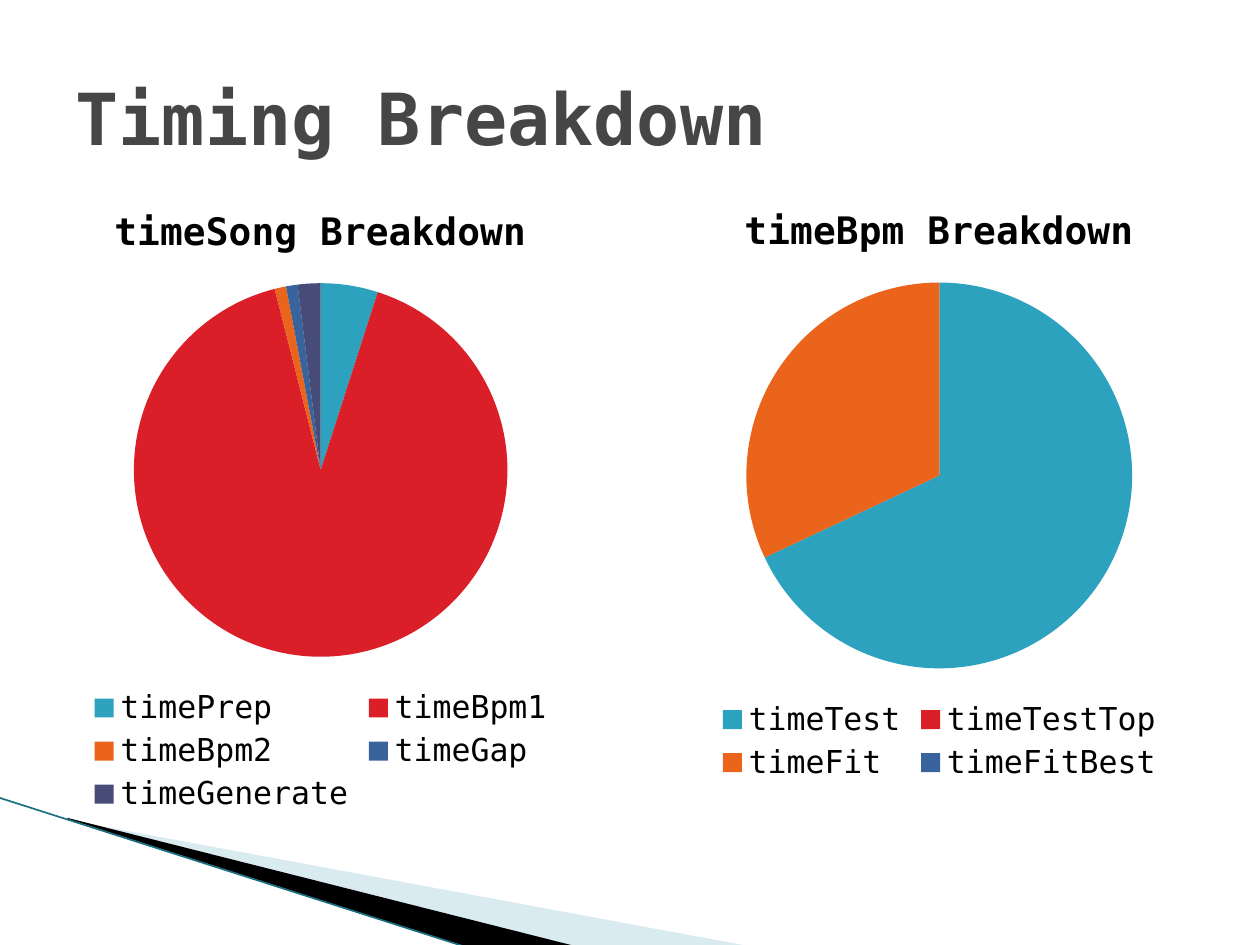
from lxml import etree
from pptx import Presentation
from pptx.chart.data import CategoryChartData
from pptx.dml.color import RGBColor
from pptx.enum.chart import XL_CHART_TYPE, XL_LEGEND_POSITION
from pptx.enum.shapes import MSO_CONNECTOR
from pptx.enum.text import MSO_ANCHOR, PP_ALIGN
from pptx.oxml.ns import qn
from pptx.util import Inches, Pt

PIE = XL_CHART_TYPE.PIE
BOTTOM = XL_LEGEND_POSITION.BOTTOM
STRAIGHT = MSO_CONNECTOR.STRAIGHT
MIDDLE = MSO_ANCHOR.MIDDLE
LEFT = PP_ALIGN.LEFT

FONT = "DejaVu Sans Mono"
BLACK = RGBColor(0x00, 0x00, 0x00)
TITLE_GREY = RGBColor(0x46, 0x46, 0x46)
PALE_BLUE = RGBColor(0xA0, 0xCB, 0xDC)
EDGE_TEAL = RGBColor(0x1B, 0x6F, 0x82)
SLICE_COLORS = [
    RGBColor(0x2D, 0xA2, 0xBF),
    RGBColor(0xDA, 0x1F, 0x28),
    RGBColor(0xEB, 0x64, 0x1B),
    RGBColor(0x39, 0x63, 0x9D),
    RGBColor(0x47, 0x4B, 0x78),
]

TITLE = "Timing Breakdown"
WEDGES = [
    ([(0.55, 6.51), (5.95, 7.51), (4.56, 7.51), (0.55, 6.5)], PALE_BLUE, 40),
    ([(0.53, 6.49), (4.57, 7.51), (3.72, 7.52), (0.54, 6.5)], BLACK, 100),
]
EDGE = (-0.01, 6.33, 3.71, 7.52)
PIES = [
    ("timeSong Breakdown", (0.17, 1.42, 4.75, 5.08),
     {"timePrep": 5, "timeBpm1": 92, "timeBpm2": 1, "timeGap": 1, "timeGenerate": 2}),
    ("timeBpm Breakdown", (5.08, 1.42, 4.75, 4.83),
     {"timeTest": 68, "timeTestTop": 0, "timeFit": 32, "timeFitBest": 0}),
]


def style_font(font, size, color, bold=False):
    font.name = FONT
    font.size = Pt(size)
    font.bold = bold
    font.color.rgb = color


def add_wedge(s, points, color, opacity):
    corners = [(Inches(x), Inches(y)) for x, y in points]
    builder = s.shapes.build_freeform(*corners[0])
    builder.add_line_segments(corners[1:], close=True)
    wedge = builder.convert_to_shape()
    wedge.shadow.inherit = False
    wedge.fill.solid()
    wedge.fill.fore_color.rgb = color
    wedge.line.fill.background()
    if opacity < 100:
        clr = wedge._element.spPr.find(qn("a:solidFill"))[0]
        etree.SubElement(clr, qn("a:alpha")).set("val", str(opacity * 1000))


def add_pie(s, title, box, values):
    data = CategoryChartData()
    data.categories = list(values)
    data.add_series("Series 1", list(values.values()))
    chart = s.shapes.add_chart(PIE, *map(Inches, box), data).chart
    style_font(chart.font, 18, BLACK)
    chart.has_title = True
    r = chart.chart_title.text_frame.paragraphs[0].add_run()
    r.text = title
    style_font(r.font, 21.6, BLACK, True)
    chart.has_legend = True
    chart.legend.position = BOTTOM
    chart.legend.include_in_layout = False
    plot = chart.plots[0]
    plot.vary_by_categories = True
    for i, color in zip(range(len(values)), SLICE_COLORS):
        fill = plot.series[0].points[i].format.fill
        fill.solid()
        fill.fore_color.rgb = color


prs = Presentation()
prs.slide_width, prs.slide_height = Inches(10), Inches(7.5)
s = prs.slides.add_slide(prs.slide_layouts[5])

for wedge in WEDGES:
    add_wedge(s, *wedge)

edge = s.shapes.add_connector(STRAIGHT, *map(Inches, EDGE))
edge.line.color.rgb = EDGE_TEAL
edge.line.width = Pt(0.95)
etree.SubElement(edge._element.spPr, qn("a:effectLst"))

heading = s.shapes.title
heading.left, heading.top = Inches(0.5), Inches(0.3)
heading.width, heading.height = Inches(9), Inches(1.25)
tf = heading.text_frame
tf.vertical_anchor = MIDDLE
p = tf.paragraphs[0]
p.alignment = LEFT
r = p.add_run()
r.text = TITLE
style_font(r.font, 41, TITLE_GREY, True)

for pie in PIES:
    add_pie(s, *pie)

prs.save("out.pptx")
